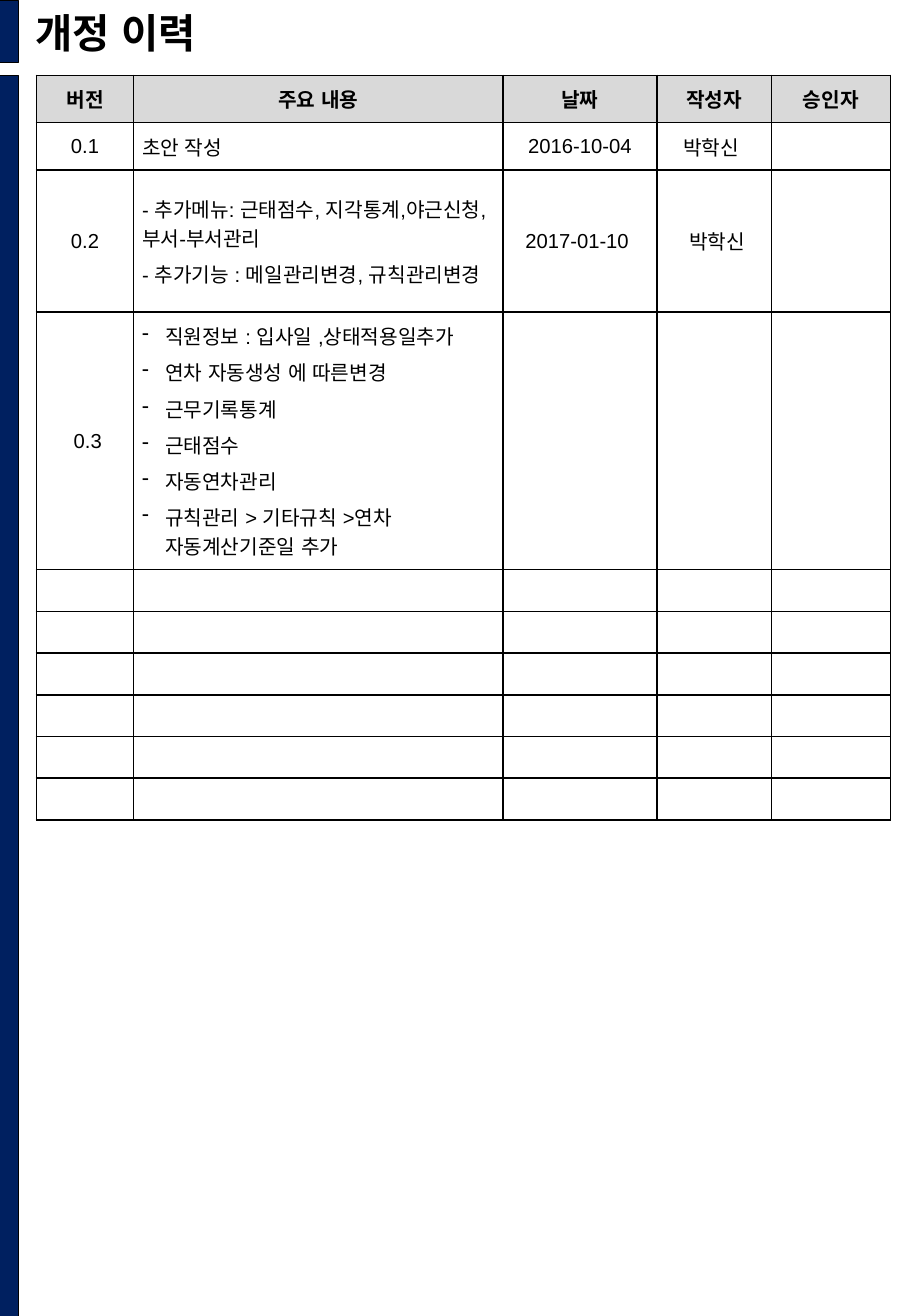
from lxml import etree
from pptx import Presentation
from pptx import util as u
from pptx.dml import color
from pptx.enum import lang, shapes, text
from pptx.oxml import ns

HUES = {"navy": "002060", "ink": "000000", "head": "D9D9D9", "page": "FFFFFF"}
COLS = [0.8, 3.04, 1.27, 0.94, 0.98]
ROWS = [0.39, 0.39, 1.17, 2.12] + [0.33] * 6
HEADS = ["버전", "주요 내용", "날짜", "작성자", "승인자"]
ITEMS = [
    "직원정보 : 입사일 ,상태적용일추가",
    "연차 자동생성 에 따른변경",
    "근무기록통계",
    "근태점수",
    "자동연차관리",
    "규칙관리 > 기타규칙 >연차 자동계산기준일 추가",
]
NOTES = [
    "- 추가메뉴: 근태점수, 지각통계,야근신청,부서-부서관리",
    "- 추가기능 : 메일관리변경, 규칙관리변경",
]
DATA = [
    HEADS,
    ["0.1", "초안 작성", "2016-10-04", "박학신 "],
    ["0.2", NOTES, "2017-01-10 ", " 박학신"],
    [" 0.3", ITEMS],
]


def hue(name):
    return color.RGBColor.from_string(HUES[name])


def put(item, **vals):
    for key, val in vals.items():
        setattr(item, key, val)


def write(para, words, size, bold, face):
    run = para.add_run()
    run.text = words
    put(run.font, size=u.Pt(size), bold=bold, name=face,
        language_id=lang.MSO_LANGUAGE_ID.KOREAN)
    run.font.color.rgb = hue("ink")
    etree.SubElement(run.font._element, ns.qn("a:ea"),
                     typeface="Noto Sans CJK KR")


def bar(slide, left, top, wide, high):
    box = slide.shapes.add_shape(shapes.MSO_SHAPE.RECTANGLE,
                                 *map(u.Inches, (left, top, wide, high)))
    box.shadow.inherit = False
    box.fill.solid()
    box.fill.fore_color.rgb = hue("navy")
    box.line.color.rgb = hue("ink")
    box.line.width = u.Pt(0.25)


def title(slide, left, top, wide, high):
    head = slide.shapes.title
    put(head, left=u.Inches(left), top=u.Inches(top),
        width=u.Inches(wide), height=u.Inches(high))
    frame = head.text_frame
    put(frame, vertical_anchor=text.MSO_ANCHOR.BOTTOM, word_wrap=True,
        auto_size=text.MSO_AUTO_SIZE.NONE,
        margin_left=u.Inches(0.1), margin_right=u.Inches(0.1),
        margin_top=u.Inches(0.05), margin_bottom=u.Inches(0.05))
    para = frame.paragraphs[0]
    para.alignment = text.PP_ALIGN.LEFT
    write(para, "개정 이력", 24, True, "Noto Sans CJK KR")


def border(cell):
    props = cell._tc.get_or_add_tcPr()
    for side in "LRTB":
        line = etree.SubElement(props, ns.qn(f"a:ln{side}"),
                                w=str(u.Pt(1)))
        fill = etree.SubElement(line, ns.qn("a:solidFill"))
        etree.SubElement(fill, ns.qn("a:srgbClr"), val=HUES["ink"])


def dash(para):
    """Give the paragraph a hanging dash bullet."""
    props = para._p.get_or_add_pPr()
    inset = u.Inches(0.19)
    props.set("marL", str(inset))
    props.set("indent", str(-inset))
    etree.SubElement(props, ns.qn("a:buChar"), char="-")


def fill_cell(cell, words, top, left):
    pad = u.Inches(0.07)
    put(cell, vertical_anchor=text.MSO_ANCHOR.MIDDLE, margin_left=pad,
        margin_right=pad, margin_top=pad, margin_bottom=pad)
    border(cell)
    cell.fill.solid()
    cell.fill.fore_color.rgb = hue("head" if top else "page")
    frame = cell.text_frame
    if not words:
        etree.SubElement(frame.paragraphs[0]._p, ns.qn("a:endParaRPr"),
                         sz="1200")
        return
    lines = [words] if isinstance(words, str) else words
    for num, line in enumerate(lines):
        para = frame.add_paragraph() if num else frame.paragraphs[0]
        put(para, space_before=u.Pt(2), space_after=u.Pt(2),
            alignment=text.PP_ALIGN.LEFT if left else text.PP_ALIGN.CENTER)
        if words is ITEMS:
            dash(para)
        write(para, line, 12, top, "Arial")


def history(slide, left, top):
    frame = slide.shapes.add_table(
        len(ROWS), len(COLS),
        *map(u.Inches, (left, top, sum(COLS), sum(ROWS))))
    table = frame.table
    put(table, first_row=False, horz_banding=False)
    for col, wide in zip(table.columns, COLS):
        col.width = u.Inches(wide)
    for r, high in enumerate(ROWS):
        table.rows[r].height = u.Inches(high)
        row = DATA[r] if r < len(DATA) else []
        for c in range(len(COLS)):
            words = row[c] if c < len(row) else ""
            fill_cell(table.cell(r, c), words, r == 0, r > 0 and c == 1)


def main():
    deck = Presentation()
    put(deck, slide_width=u.Inches(7.5), slide_height=u.Inches(10.83))
    slide = deck.slides.add_slide(deck.slide_layouts.get_by_name("Title Only"))
    for top, high in ((0.62, 10.22), (0, 0.51)):
        bar(slide, -0.02, top, 0.17, high)
    title(slide, 0.19, 0.01, 6.38, 0.51)
    history(slide, 0.3, 0.62)
    deck.save("out.pptx")


if __name__ == "__main__":
    main()
